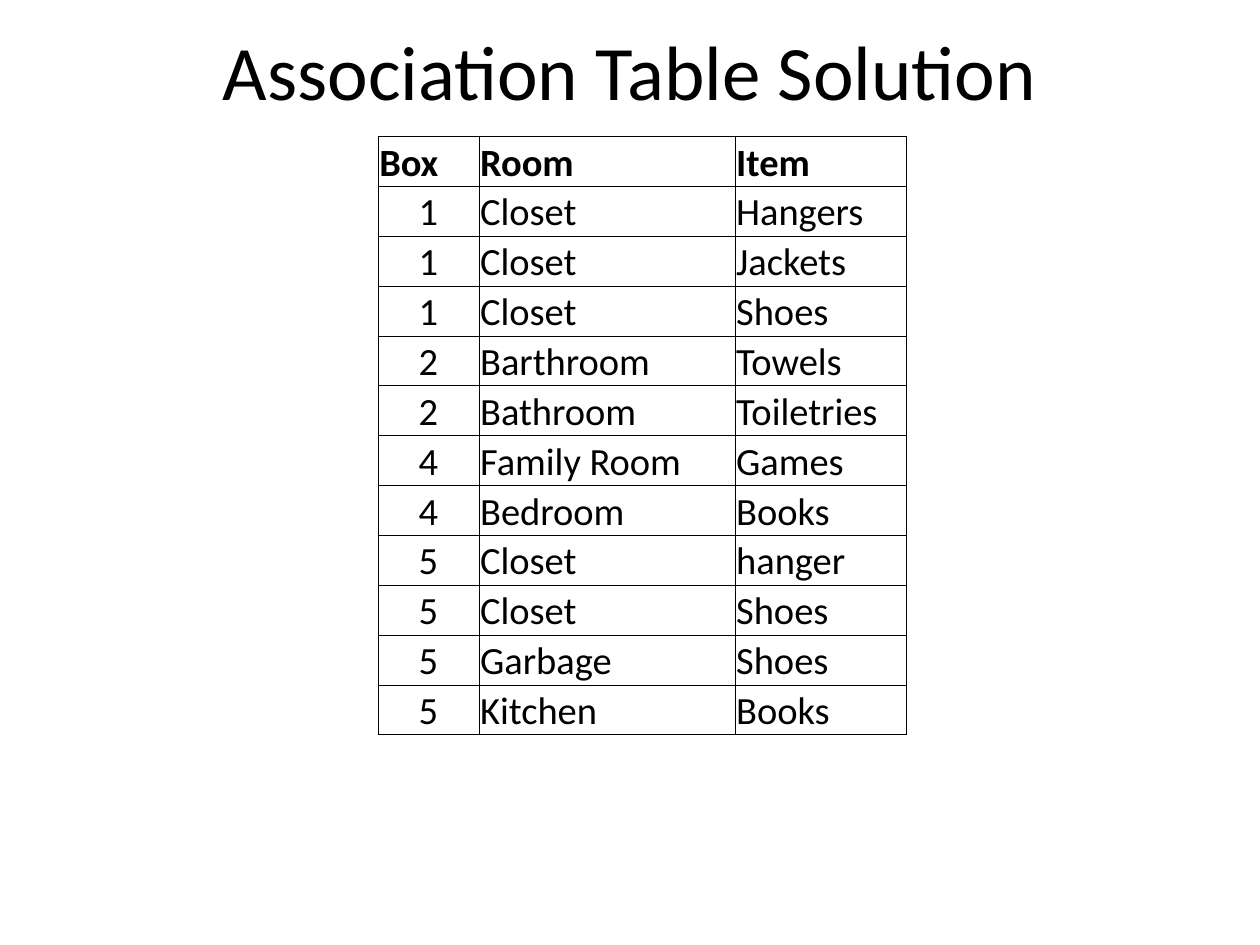
from dataclasses import dataclass

from lxml.etree import SubElement
from pptx import Presentation
from pptx.dml.color import RGBColor
from pptx.enum.text import MSO_ANCHOR as Anchor, PP_ALIGN as Align
from pptx.oxml.ns import qn
from pptx.util import Pt


@dataclass(frozen=True)
class Theme:
    """Colours, font and sizes of the deck."""
    ink: str = "000000"
    font: str = "Calibri"
    title_size: float = 44
    cell_size: float = 22
    border: float = 0.5


THEME = Theme()
HEADER = ("Box", "Room", "Item")
PACKING = (
    (1, "Closet", "Hangers"),
    (1, "Closet", "Jackets"),
    (1, "Closet", "Shoes"),
    (2, "Barthroom", "Towels"),
    (2, "Bathroom", "Toiletries"),
    (4, "Family Room", "Games"),
    (4, "Bedroom", "Books"),
    (5, "Closet", "hanger"),
    (5, "Closet", "Shoes"),
    (5, "Garbage", "Shoes"),
    (5, "Kitchen", "Books"),
)


def apply_format(target, values):
    """Set each attribute of the target from a dict."""
    for name, value in values.items():
        setattr(target, name, value)


def write_text(frame, text, size, align, bold=False):
    """Write one formatted paragraph into a text frame."""
    para = frame.paragraphs[0]
    para.alignment = align
    span = para.add_run()
    span.text = text
    apply_format(span.font, {"name": THEME.font, "size": Pt(size), "bold": bold})
    span.font.color.rgb = RGBColor.from_string(THEME.ink)


def draw_borders(cell):
    """Give a cell a thin line on all four sides."""
    properties = cell._tc.get_or_add_tcPr()
    for index, side in enumerate(("lnL", "lnR", "lnT", "lnB")):
        line = SubElement(properties, qn(f"a:{side}"), w=str(Pt(THEME.border)))
        fill = SubElement(line, qn("a:solidFill"))
        SubElement(fill, qn("a:srgbClr"), val=THEME.ink)
        properties.insert(index, line)


def place_title(page, box, text):
    """Fit the title placeholder to its box and fill it."""
    title = page.shapes.title
    apply_format(title, dict(zip(("left", "top", "width", "height"), map(Pt, box))))
    apply_format(title.text_frame, {"vertical_anchor": Anchor.MIDDLE, "word_wrap": True})
    write_text(title.text_frame, text, THEME.title_size, Align.CENTER)


def place_table(page, box, shares, rows):
    """Build the bordered table, its columns sharing the width of the box."""
    left, top, width, height = box
    table = page.shapes.add_table(len(rows), len(shares), *map(Pt, box)).table
    apply_format(table, {"first_row": False, "horz_banding": False})
    for column, share in zip(table.columns, shares):
        column.width = Pt(width * share / sum(shares))
    for row_index, values in enumerate(rows):
        table.rows[row_index].height = Pt(height / len(rows))
        for column_index, value in enumerate(values):
            cell = table.cell(row_index, column_index)
            apply_format(cell, {
                "margin_left": Pt(0.75), "margin_right": Pt(0.75),
                "margin_top": Pt(0.75), "margin_bottom": Pt(0),
                "vertical_anchor": Anchor.BOTTOM,
            })
            cell.fill.background()
            draw_borders(cell)
            align = Align.CENTER if isinstance(value, int) else Align.LEFT
            write_text(cell.text_frame, str(value), THEME.cell_size, align, row_index == 0)


def build_deck():
    """Build and save the one-page deck."""
    deck = Presentation()
    apply_format(deck, {"slide_width": Pt(720), "slide_height": Pt(540)})
    page = deck.slides.add_slide(deck.slide_layouts[5])
    place_title(page, (36, 1.5, 648, 76.5), "Association Table Solution")
    place_table(page, (216, 78, 302, 342), (80, 203, 136), (HEADER, *PACKING))
    deck.save("out.pptx")


build_deck()
